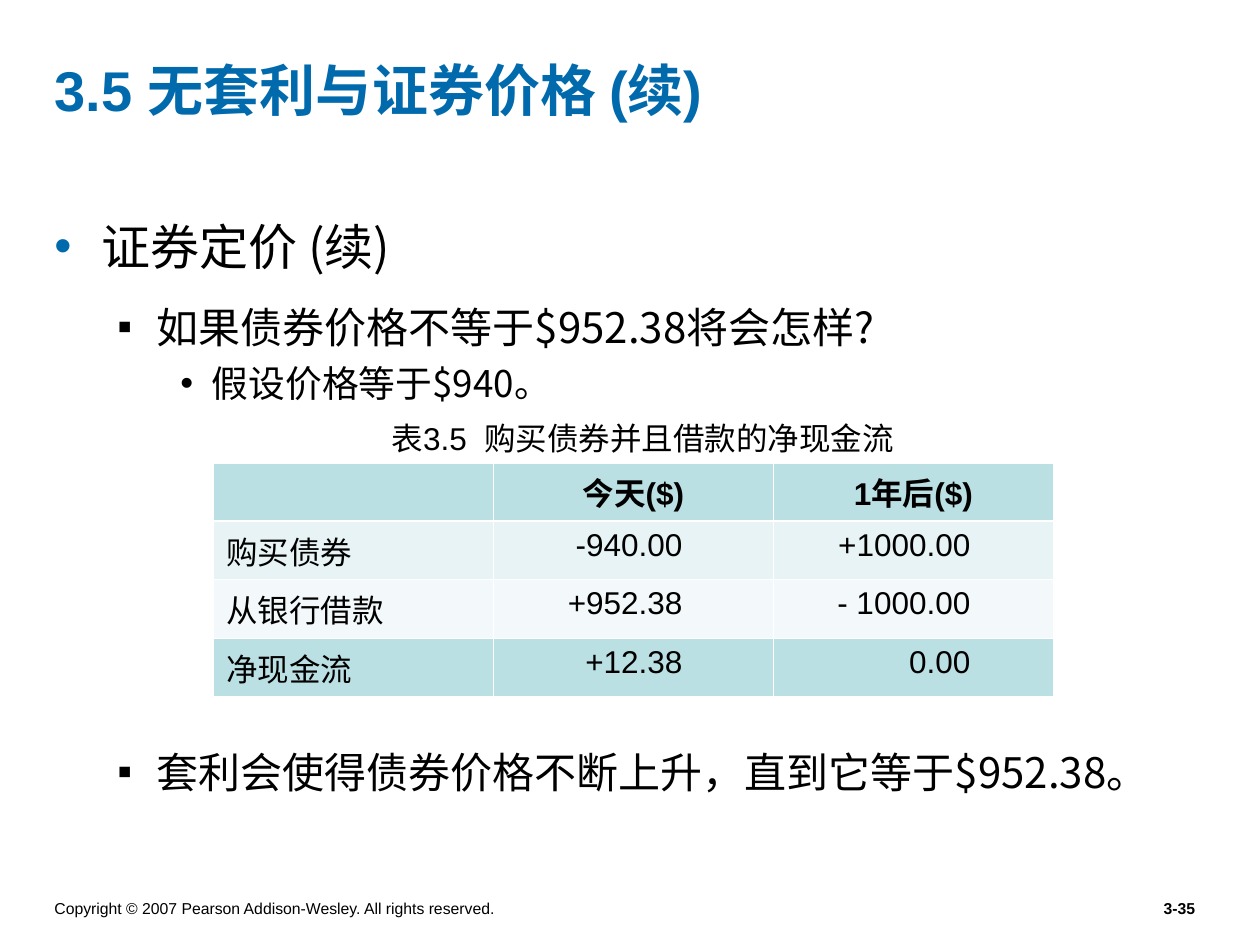
import pptx
import pptx.dml.color
import pptx.enum.text
import pptx.oxml
import pptx.oxml.ns
import pptx.util
from lxml import etree

Pt = pptx.util.Pt
ALIGN = pptx.enum.text.PP_ALIGN
ANCHOR = pptx.enum.text.MSO_ANCHOR
qn = pptx.oxml.ns.qn

COLORS = {"blue": "006AAC", "black": "000000", "white": "FFFFFF",
          "teal": "BBE0E3", "light": "E7F3F4", "pale": "F3F9FA"}
CJK = "Noto Sans CJK SC"


def style(paragraph, size, color="black", bold=False, name="Arial", align=ALIGN.LEFT):
    paragraph.alignment = align
    font = paragraph.font
    font.size, font.bold, font.name = Pt(size), bold, name
    font.color.rgb = pptx.dml.color.RGBColor.from_string(COLORS[color])


def add_text(left, top, width, height, text, anchor=ANCHOR.TOP):
    shape = slide.shapes.add_textbox(Pt(left), Pt(top), Pt(width), Pt(height))
    frame = shape.text_frame
    frame.word_wrap, frame.vertical_anchor = True, anchor
    frame.text = text
    return frame


presentation = pptx.Presentation()
presentation.slide_width, presentation.slide_height = Pt(720), Pt(540)
slide = presentation.slides.add_slide(presentation.slide_layouts[6])

# Footer and page number
footer = add_text(24, 510, 312, 18,
                  "Copyright © 2007 Pearson Addison-Wesley. All rights reserved.",
                  ANCHOR.BOTTOM)
style(footer.paragraphs[0], 9)
page_number = add_text(540, 510, 150, 18, "3-35")
style(page_number.paragraphs[0], 9, bold=True, align=ALIGN.RIGHT)

# Title
title = add_text(24, 6, 666, 90, "3.5 无套利与证券价格 (续)", ANCHOR.MIDDLE)
style(title.paragraphs[0], 32, "blue", bold=True)

# Bulleted body: text, size, left margin, hanging indent, space before, bullet, bullet colour
bullets = [
    ("证券定价 (续)", 28, 27, 27, 0, "•", "blue"),
    ("如果债券价格不等于$952.38将会怎样?", 24, 58.5, 22.5, 15, "▪", "black"),
    ("假设价格等于$940。", 21, 90, 18, 5.2, "•", "black"),
    ("套利会使得债券价格不断上升，直到它等于$952.38。", 24, 58.5, 22.5, 195, "▪", "black"),
]
body = add_text(24, 120, 666, 378, "\n".join(bullet[0] for bullet in bullets))
for paragraph, bullet in zip(body.paragraphs, bullets):
    text, size, margin, hanging, space, mark, mark_color = bullet
    paragraph.space_before = Pt(space)
    properties = paragraph._p.get_or_add_pPr()
    properties.set("marL", str(Pt(margin)))
    properties.set("indent", str(-Pt(hanging)))
    bullet_color = etree.SubElement(properties, qn("a:buClr"))
    etree.SubElement(bullet_color, qn("a:srgbClr"), val=COLORS[mark_color])
    etree.SubElement(properties, qn("a:buFont"), typeface="Arial")
    etree.SubElement(properties, qn("a:buChar"), char=mark)
    style(paragraph, size, name=CJK)

# Cash flow table
rows = [
    ("", "今天($)", "1年后($)"),
    ("购买债券", "-940.00", "+1000.00"),
    ("从银行借款", "+952.38", "- 1000.00"),
    ("净现金流", "+12.38", "0.00"),
]
row_fills = ["teal", "light", "pale", "teal"]
right_margins = [7.2, 52, 47.5]
table_shape = slide.shapes.add_table(4, 3, Pt(122), Pt(264.5), Pt(480), Pt(133.6))
table = table_shape.table
for row_index, row in enumerate(rows):
    table.rows[row_index].height = Pt(33.4)
    for column_index, text in enumerate(row):
        cell = table.cell(row_index, column_index)
        cell.text = text
        cell.fill.solid()
        cell.fill.fore_color.rgb = pptx.dml.color.RGBColor.from_string(
            COLORS[row_fills[row_index]])
        header = row_index == 0
        if header:
            align = ALIGN.CENTER
        elif column_index:
            align = ALIGN.RIGHT
            cell.margin_right = Pt(right_margins[column_index])
        else:
            align = ALIGN.LEFT
        style(cell.text_frame.paragraphs[0], 18, bold=header, align=align)

        # White borders, heavier under the header
        heavy_side = {0: "B", 1: "T"}.get(row_index)
        for position, side in enumerate("LRTB"):
            width = 1.47 if side == heavy_side else 0.45
            line = etree.Element(qn(f"a:ln{side}"), w=str(Pt(width)))
            fill = etree.SubElement(line, qn("a:solidFill"))
            etree.SubElement(fill, qn("a:srgbClr"), val=COLORS["white"])
            cell._tc.get_or_add_tcPr().insert(position, line)

# Table caption
caption = add_text(116, 236, 430.5, 29, "表3.5  购买债券并且借款的净现金流")
caption.paragraphs[0]._p.get_or_add_pPr().set("marL", str(Pt(72)))
style(caption.paragraphs[0], 18, align=ALIGN.CENTER)

presentation.save("out.pptx")
